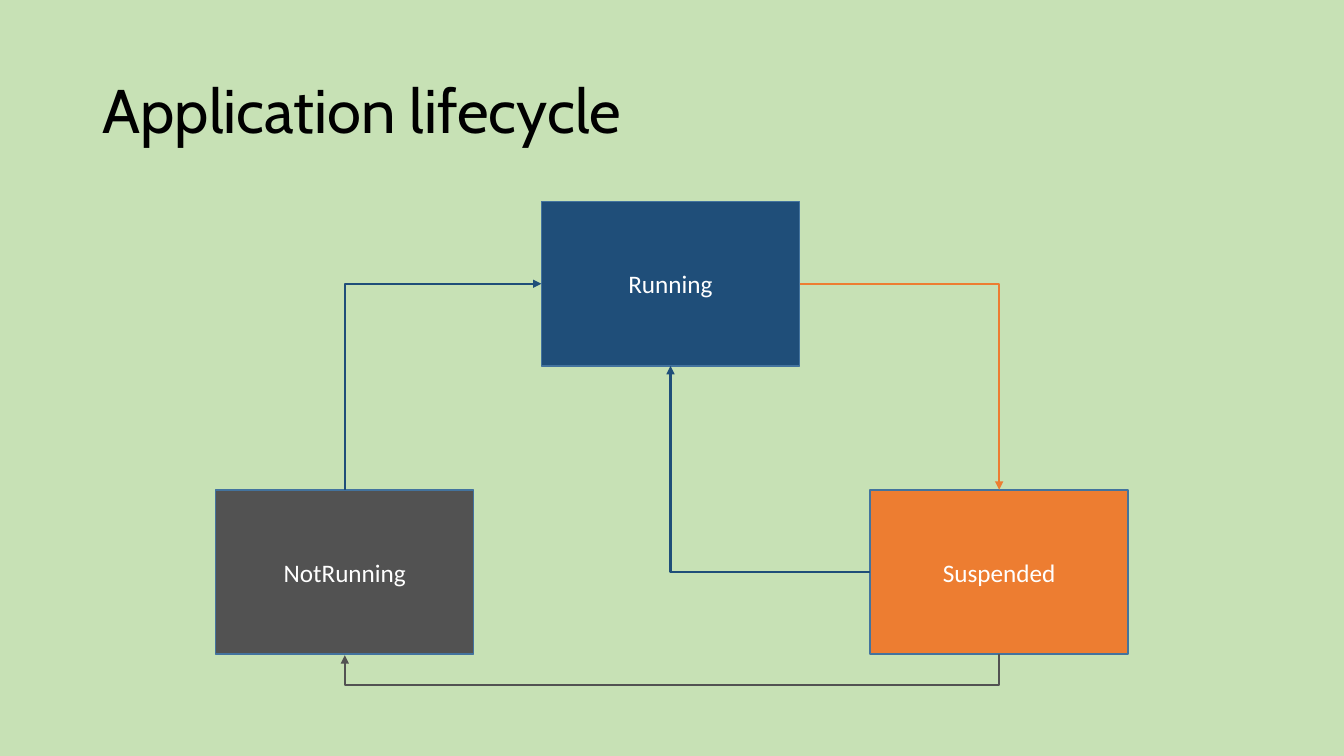
from dataclasses import dataclass
from lxml import etree
from pptx import Presentation
from pptx.dml.color import RGBColor
from pptx.enum.shapes import MSO_CONNECTOR, MSO_SHAPE
from pptx.enum.text import MSO_ANCHOR, PP_ALIGN
from pptx.oxml.ns import qn
from pptx.util import Inches, Pt

ELBOW = MSO_CONNECTOR.ELBOW
RECT = MSO_SHAPE.RECTANGLE
MIDDLE = MSO_ANCHOR.MIDDLE
LEFT = PP_ALIGN.LEFT
CENTER = PP_ALIGN.CENTER


@dataclass(frozen=True)
class Theme:
    back: str = "C7E1B5"
    ink: str = "000000"
    pale: str = "FFFFFF"
    edge: str = "43739E"
    blue: str = "1F4E79"
    gray: str = "525252"
    orange: str = "ED7D31"
    head_font: str = "Cabin"
    body_font: str = "Calibri"
    head_size: int = 44
    body_size: int = 18
    edge_width: float = 1
    link_width: float = 1.5


THEME = Theme()
BOX_W, BOX_H = 2.56, 1.63
LOOP = 0.31


def color(value):
    return RGBColor.from_string(value)


def write(shape, text, *, font, size, ink, align=LEFT, spacing=1.0):
    frame = shape.text_frame
    frame.word_wrap = True
    frame.vertical_anchor = MIDDLE
    line = frame.paragraphs[0]
    line.alignment = align
    line.line_spacing = spacing
    run = line.add_run()
    run.text = text
    run.font.name = font
    run.font.size = Pt(size)
    run.font.color.rgb = color(ink)


def add_title(slide, text):
    box = slide.shapes.add_textbox(
        Inches(0.92), Inches(0.4), Inches(11.5), Inches(1.45))
    write(box, text, font=THEME.head_font, size=THEME.head_size,
          ink=THEME.ink, spacing=0.9)


def add_state(slide, name, left, top, fill):
    box = slide.shapes.add_shape(
        RECT, Inches(left), Inches(top), Inches(BOX_W), Inches(BOX_H))
    box.shadow.inherit = False
    box.fill.solid()
    box.fill.fore_color.rgb = color(fill)
    box.line.color.rgb = color(THEME.edge)
    box.line.width = Pt(THEME.edge_width)
    write(box, name, font=THEME.body_font, size=THEME.body_size,
          ink=THEME.pale, align=CENTER)
    mid_x, mid_y = left + BOX_W / 2, top + BOX_H / 2
    return {"left": (left, mid_y), "right": (left + BOX_W, mid_y),
            "top": (mid_x, top), "bottom": (mid_x, top + BOX_H)}


def add_link(slide, start, end, ink, turn, loop=None):
    mid_x, mid_y = (start[0] + end[0]) / 2, (start[1] + end[1]) / 2
    wide, high = abs(end[0] - start[0]), abs(end[1] - start[1])
    if turn % 180:
        wide, high = high, wide
    link = slide.shapes.add_connector(
        ELBOW, Inches(mid_x - wide / 2), Inches(mid_y - high / 2),
        Inches(mid_x + wide / 2), Inches(mid_y + high / 2))
    link.line.color.rgb = color(ink)
    link.line.width = Pt(THEME.link_width)
    props = link.element.spPr
    props.find(qn("a:xfrm")).set("rot", str(turn * 60000))
    shape = props.find(qn("a:prstGeom"))
    if loop is None:
        shape.set("prst", "bentConnector2")
    else:
        guides = shape.find(qn("a:avLst"))
        if guides is None:
            guides = etree.SubElement(shape, qn("a:avLst"))
        ratio = round(loop / wide * 100000)
        etree.SubElement(guides, qn("a:gd"), name="adj1", fmla=f"val {ratio}")
    etree.SubElement(props.find(qn("a:ln")), qn("a:tailEnd"), type="triangle")
    etree.SubElement(props, qn("a:effectLst"))


def main():
    deck = Presentation()
    deck.slide_width, deck.slide_height = Inches(13.33), Inches(7.5)
    slide = deck.slides.add_slide(deck.slide_layouts[6])
    slide.background.fill.solid()
    slide.background.fill.fore_color.rgb = color(THEME.back)

    add_title(slide, "Application lifecycle")
    active = add_state(slide, "Running", 5.37, 2, THEME.blue)
    idle = add_state(slide, "NotRunning", 2.14, 4.86, THEME.gray)
    paused = add_state(slide, "Suspended", 8.63, 4.86, THEME.orange)

    add_link(slide, idle["top"], active["left"], THEME.blue, 270)
    add_link(slide, active["right"], paused["top"], THEME.orange, 0)
    low_x, low_y = idle["bottom"]
    add_link(slide, paused["bottom"], (low_x, low_y + 0.01),
             THEME.gray, 90, LOOP)
    add_link(slide, paused["left"], active["bottom"], THEME.blue, 180)
    deck.save("out.pptx")


if __name__ == "__main__":
    main()
